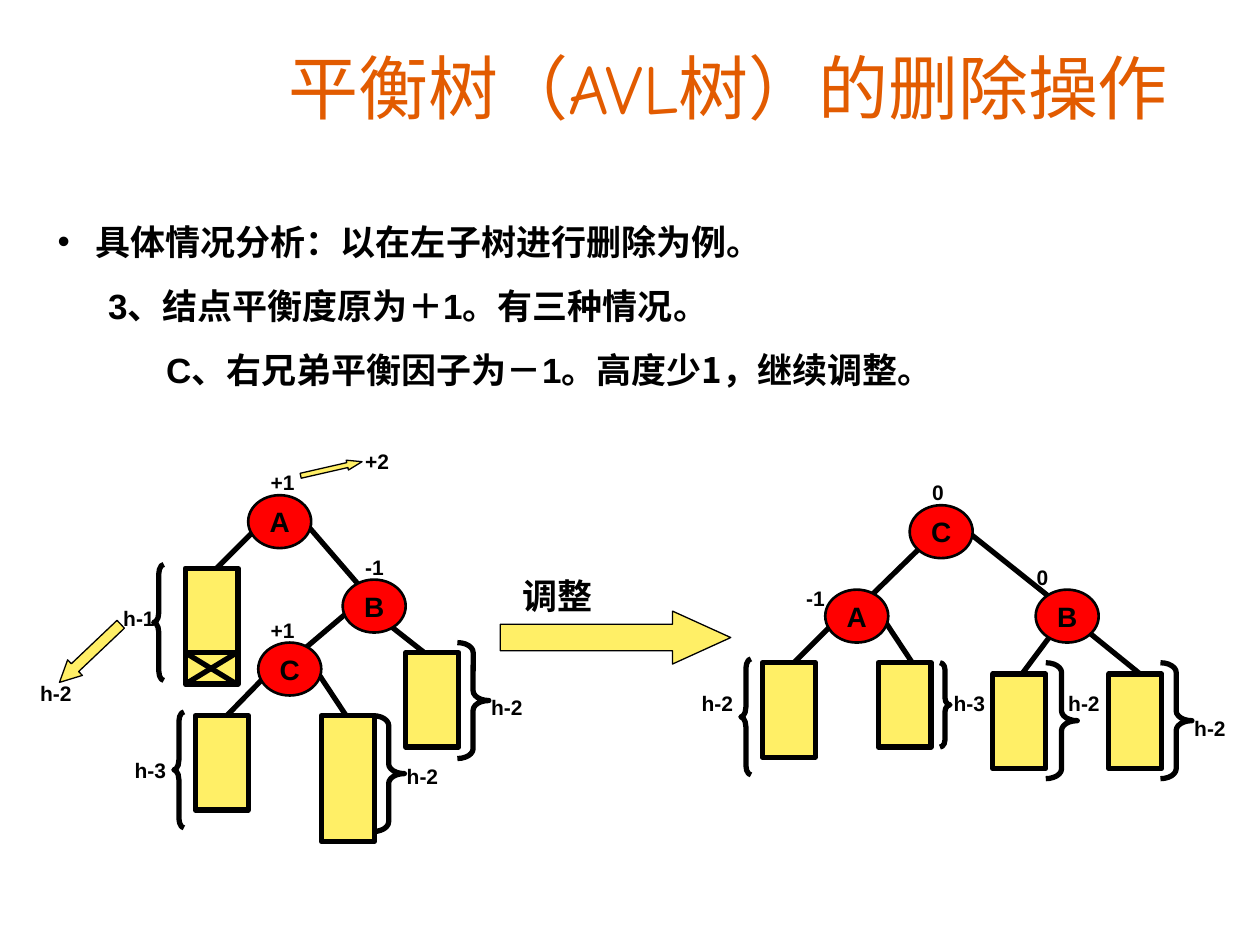
from lxml import etree
from pptx import Presentation
from pptx.dml.color import RGBColor
from pptx.enum.shapes import MSO_CONNECTOR as Line, MSO_SHAPE as Shape
from pptx.enum.text import MSO_ANCHOR as Anchor, PP_ALIGN as Align
from pptx.oxml.ns import qn
from pptx.util import Emu, Pt

PX = 9144  # 100 px to the inch
BLACK, RED, YELLOW, ORANGE = "000000", "FF0000", "FFEF66", "E25B00"
NODE_W, NODE_H = 50, 42
BOX_W = 42
LABEL_W, LABEL_H = 50, 30


def px(n):
    return Emu(n * PX)


def rgb(color):
    return RGBColor.from_string(color)


class TreeSlide:
    font = "Arial"
    cjk_font = "Noto Sans CJK SC"
    title_font = "Comic Neue"

    def __init__(self, prs):
        self.s = prs.slides.add_slide(prs.slide_layouts[6])

    def run(self, p, text, size, color=BLACK, bold=True, font=None):
        r = p.add_run()
        r.text = text
        r.font.size = Pt(size)
        r.font.bold = bold
        r.font.name = font or self.font
        r.font.color.rgb = rgb(color)

    def text_box(self, x, y, w, h):
        tf = self.s.shapes.add_textbox(px(x), px(y), px(w), px(h)).text_frame
        tf.word_wrap = True
        return tf

    def title(self, x, y, w, h, text):
        tf = self.text_box(x, y, w, h)
        tf.vertical_anchor = Anchor.MIDDLE
        p = tf.paragraphs[0]
        p.alignment = Align.CENTER
        self.run(p, text, 40, ORANGE, False, self.title_font)

    def body(self, x, y, w, h, items):
        """Each item is (left margin, first-line indent, bullet, runs)."""
        tf = self.text_box(x, y, w, h)
        for i, (margin, indent, bullet, runs) in enumerate(items):
            p = tf.add_paragraph() if i else tf.paragraphs[0]
            pPr = p._p.get_or_add_pPr()
            pPr.set("marL", str(px(margin)))
            pPr.set("indent", str(px(indent)))
            if i:
                p.space_before = Pt(12.5)
            if bullet:
                etree.SubElement(pPr, qn("a:buFont")).set("typeface", self.font)
                etree.SubElement(pPr, qn("a:buChar")).set("char", bullet)
            for text, font in runs:
                self.run(p, text, 20, font=font)

    def label(self, x, y, text, size=12, w=LABEL_W, h=LABEL_H):
        self.run(self.text_box(x, y, w, h).paragraphs[0], text, size)

    def shape(self, kind, x, y, w, h, fill, line):
        sp = self.s.shapes.add_shape(kind, px(x), px(y), px(w), px(h))
        sp.shadow.inherit = False
        if fill:
            sp.fill.solid()
            sp.fill.fore_color.rgb = rgb(fill)
        else:
            sp.fill.background()
        sp.line.color.rgb = rgb(BLACK)
        sp.line.width = Pt(line)
        return sp

    def node(self, x, y, name):
        tf = self.shape(Shape.OVAL, x, y, NODE_W, NODE_H, RED, 1.5).text_frame
        tf.word_wrap = False
        tf.vertical_anchor = Anchor.MIDDLE
        p = tf.paragraphs[0]
        p.alignment = Align.CENTER
        self.run(p, name, 16)

    def subtree(self, x, y, h):
        self.shape(Shape.RECTANGLE, x, y, BOX_W, h, YELLOW, 3)

    def brace(self, kind, x, y, w, h):
        sp = self.shape(kind, x, y, w, h, None, 3)
        sp.adjustments[0] = round(h / w / 12, 2)

    def arrow(self, x, y, w, h, head, angle=0):
        sp = self.shape(Shape.RIGHT_ARROW, x, y, w, h, YELLOW, 0.75)
        sp.adjustments[1] = head
        sp.rotation = angle

    def edge(self, x1, y1, x2, y2):
        c = self.s.shapes.add_connector(Line.STRAIGHT, px(x1), px(y1), px(x2), px(y2))
        c.line.color.rgb = rgb(BLACK)
        c.line.width = Pt(3)
        etree.SubElement(c._element.spPr, qn("a:effectLst"))


EDGES = [
    # before the adjustment
    (213, 410, 172, 451), (238, 410, 288, 468), (297, 468, 238, 518),
    (305, 493, 347, 526), (221, 526, 180, 568), (247, 526, 280, 576),
    # after the adjustment
    (730, 435, 688, 476), (763, 418, 847, 485), (671, 485, 630, 526),
    (697, 485, 730, 535), (855, 476, 805, 543), (863, 501, 905, 535),
]
NODES = [(197, 393, "A"), (272, 460, "B"), (205, 510, "C"),
         (722, 401, "C"), (655, 468, "A"), (822, 468, "B")]
SUBTREES = [(147, 451, 92), (155, 568, 75), (255, 568, 100), (322, 518, 75),
            (605, 526, 75), (697, 526, 67), (788, 535, 75), (880, 535, 75)]
DELETED_PART = [(147, 518, 188, 518), (188, 518, 147, 543), (147, 518, 188, 543)]
LEFT_BRACES = [(122, 448, 8, 92), (138, 565, 8, 92), (588, 523, 8, 92)]
RIGHT_BRACES = [(363, 510, 25, 92), (296, 568, 25, 92), (746, 526, 8, 67),
                (830, 526, 25, 92), (921, 526, 25, 92)]
BALANCE_LABELS = [(205, 368, "+1"), (280, 351, "+2"), (280, 435, "-1"), (205, 485, "+1"),
                  (730, 376, "0"), (630, 460, "-1"), (813, 443, "0")]
HEIGHT_LABELS = [(88, 476, "h-1"), (22, 535, "h-2"), (97, 596, "h-3"), (313, 601, "h-2"),
                 (380, 546, "h-2"), (547, 543, "h-2"), (747, 543, "h-3"),
                 (838, 543, "h-2"), (938, 563, "h-2")]
ARROWS = [(397, 485, 183, 42, 1.1), (38, 510, 67, 17, 1, 136.5), (238, 368, 50, 8, 1.5, 347.1)]


def main():
    prs = Presentation()
    prs.slide_width, prs.slide_height = px(1000), px(750)
    slide = TreeSlide(prs)

    slide.title(156, 32, 844, 74, "平衡树（AVL树）的删除操作")
    slide.body(11, 170, 770, 180, [
        (55, -30, "•", [("具体情况分析：以在左子树进行删除为例。", None)]),
        (50, 15, None, [("3、结点平衡度原为＋1。有三种情况。", None)]),
        (50, 61, None, [("C、右兄弟平衡因子为－1。", None),
                        ("高度少1，继续调整。", slide.cjk_font)]),
    ])

    for edge in EDGES:
        slide.edge(*edge)
    for node in NODES:
        slide.node(*node)
    for subtree in SUBTREES:
        slide.subtree(*subtree)
    for edge in DELETED_PART:
        slide.edge(*edge)
    for brace in LEFT_BRACES:
        slide.brace(Shape.LEFT_BRACE, *brace)
    for brace in RIGHT_BRACES:
        slide.brace(Shape.RIGHT_BRACE, *brace)
    for arrow in ARROWS:
        slide.arrow(*arrow)
    for label in BALANCE_LABELS + HEIGHT_LABELS:
        slide.label(*label)
    slide.label(405, 451, "调整", 20, 133, 44)

    prs.save("out.pptx")


if __name__ == "__main__":
    main()
